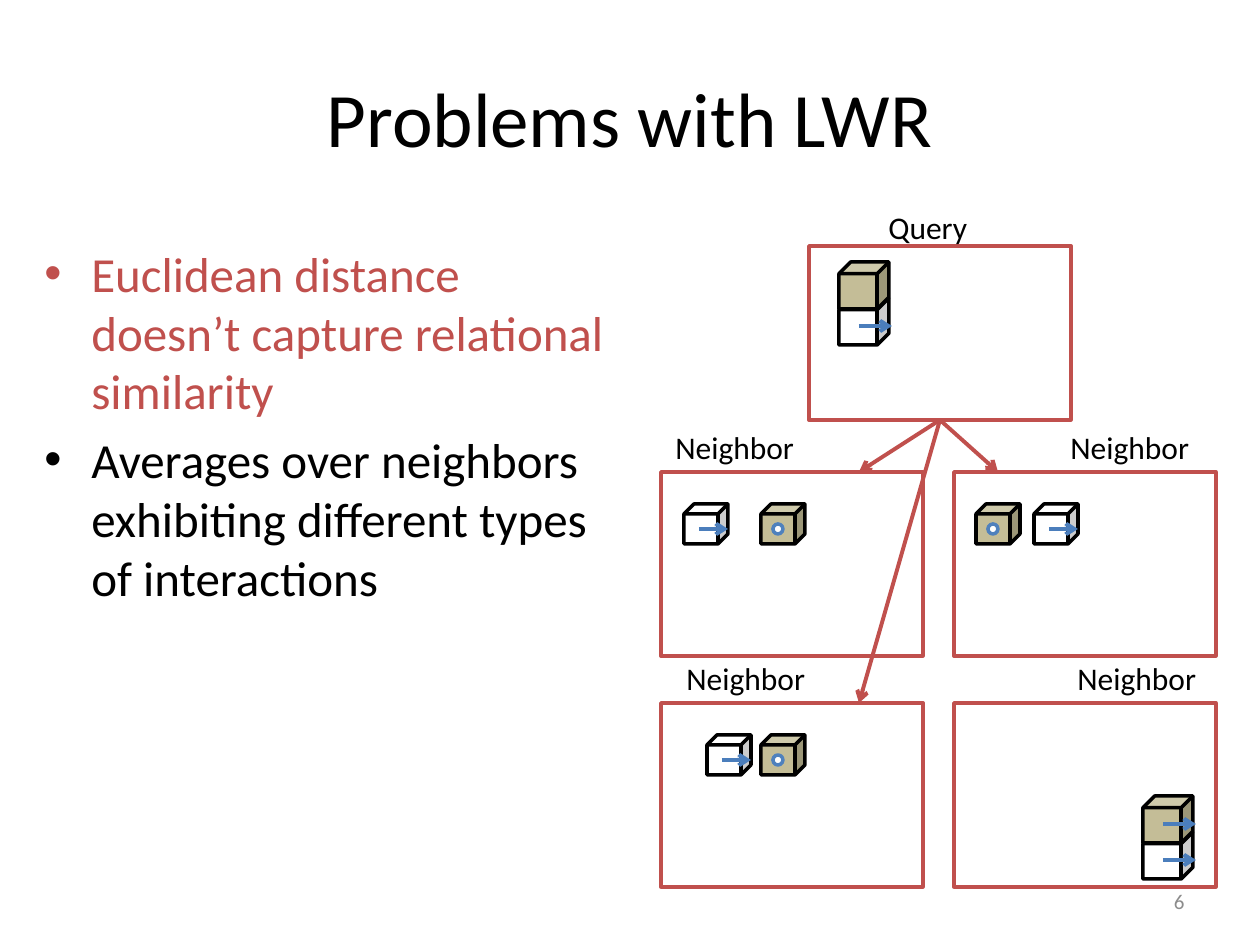
import pptx
import pptx.util
import pptx.dml.color
import pptx.enum.shapes
import pptx.enum.text
import pptx.oxml
import pptx.oxml.ns

SCALE = 914400 // 126
FONT = "Calibri"
COLORS = {
    "black": "000000", "white": "FFFFFF", "red": "C0504D",
    "tan": "C4BD97", "blue": "4B7EBC", "ring": "4F81BD", "gray": "8C8C8C",
}
KINDS = pptx.enum.shapes.MSO_SHAPE
ALIGN = pptx.enum.text.PP_ALIGN
ANCHOR = pptx.enum.text.MSO_ANCHOR
BIG = (50, 47)
SMALL = (44, 40)
FRAME = (262, 184)
LEFT, RIGHT = 661, 954
UPPER, LOWER = 472, 703


def px(*nums):
    return [pptx.util.Emu(n * SCALE) for n in nums]


def rgb(name):
    return pptx.dml.color.RGBColor.from_string(COLORS[name])


def add_text(slide, text, box, size=18, colors=("black",), align=ALIGN.LEFT,
             anchor=ANCHOR.TOP, wrap=True, bullet=False):
    """Add a text box with one paragraph per line and one color per paragraph."""
    frame = slide.shapes.add_textbox(*px(*box)).text_frame
    frame.word_wrap = wrap
    frame.vertical_anchor = anchor
    frame.text = text
    for i, (para, color) in enumerate(zip(frame.paragraphs, colors)):
        if bullet:
            add_bullet(para)
        para.alignment = align
        if i:
            para.space_before = pptx.util.Pt(size * 0.2)
        para.font.size = pptx.util.Pt(size)
        para.font.name = FONT
        para.font.color.rgb = rgb(color)


def add_bullet(para):
    props = para._p.get_or_add_pPr()
    indent = px(47)[0]
    props.set("marL", str(indent))
    props.set("indent", str(-indent))
    pptx.oxml.ns.qn("a:buFont")
    for tag, key, value in (("buFont", "typeface", "Arial"), ("buChar", "char", "•")):
        item = props.makeelement(pptx.oxml.ns.qn("a:" + tag), {key: value})
        props.append(item)


def add_shape(shapes, kind, box, fill, line):
    shape = shapes.add_shape(kind, *px(*box))
    shape.shadow.inherit = False
    shape.fill.solid()
    shape.fill.fore_color.rgb = rgb(fill)
    shape.line.color.rgb = rgb(line)
    shape.line.width = pptx.util.Pt(2)
    return shape


def add_arrow(shapes, start, end, color):
    straight = pptx.enum.shapes.MSO_CONNECTOR.STRAIGHT
    arrow = shapes.add_connector(straight, *px(*start, *end))
    arrow.line.color.rgb = rgb(color)
    arrow.line.width = pptx.util.Pt(2.25)
    qn = pptx.oxml.ns.qn
    line = arrow.line._get_or_add_ln()
    line.append(line.makeelement(qn("a:tailEnd"), {"type": "arrow"}))
    props = arrow._element.spPr
    props.append(props.makeelement(qn("a:effectLst"), {}))
    return arrow


def add_frame(slide, x, y, size=FRAME):
    return add_shape(slide.shapes, KINDS.RECTANGLE, (x, y, *size), "white", "red")


def add_stack(slide, x, y, both):
    """Add a tan cube on a white one; the tan one moves too if both is set."""
    shapes = slide.shapes.add_group_shape().shapes
    step = 36
    for top, fill in ((y + step, "white"), (y, "tan")):
        add_shape(shapes, KINDS.CUBE, (x, top, *BIG), fill, "black")
    for top in (y + step, y)[:1 + both]:
        add_arrow(shapes, (x + 20, top + 28), (x + 53, top + 28), "blue")


def add_pair(slide, white, tan, y):
    """Add a moving white cube and a resting tan one side by side."""
    shapes = slide.shapes.add_group_shape().shapes
    for x, fill in ((white, "white"), (tan, "tan")):
        add_shape(shapes, KINDS.CUBE, (x, y, *SMALL), fill, "black")
    add_arrow(shapes, (white + 15, y + 25), (white + 44, y + 25), "blue")
    add_shape(shapes, KINDS.OVAL, (tan + 12, y + 20, 10, 10), "white", "ring")


def main():
    deck = pptx.Presentation()
    deck.slide_width, deck.slide_height = px(1260, 945)
    slide = deck.slides.add_slide(deck.slide_layouts[6])

    add_text(slide, "Problems with LWR", (63, 38, 1134, 157), size=44,
             align=ALIGN.CENTER, anchor=ANCHOR.MIDDLE)
    add_text(slide, "Euclidean distance doesn’t capture relational similarity\n"
             "Averages over neighbors exhibiting different types of interactions",
             (32, 237, 588, 576), size=28, colors=("red", "black"), bullet=True)
    add_text(slide, "6", (903, 876, 294, 50), size=12, colors=("gray",),
             align=ALIGN.RIGHT, anchor=ANCHOR.MIDDLE)

    query = add_frame(slide, 809, 246, (262, 174))
    for y in (UPPER, LOWER):
        for x in (LEFT, RIGHT):
            add_frame(slide, x, y)

    add_stack(slide, 839, 262, both=False)
    add_stack(slide, 1143, 796, both=True)
    for white, tan, y in ((684, 761, UPPER), (1034, 976, UPPER), (707, 761, LOWER)):
        add_pair(slide, white, tan, y + 32)

    add_text(slide, "Query", (876, 202, 107, 50), wrap=False)
    for x, y in ((663, UPPER), (1058, UPPER), (674, LOWER), (1065, LOWER)):
        add_text(slide, "Neighbor", (x, y - 50, 147, 50), wrap=False)

    for end in ((859, UPPER), (859, LOWER), (998, UPPER)):
        add_arrow(slide.shapes, (940, 420), end, "red").begin_connect(query, 2)

    deck.save("out.pptx")


if __name__ == "__main__":
    main()
